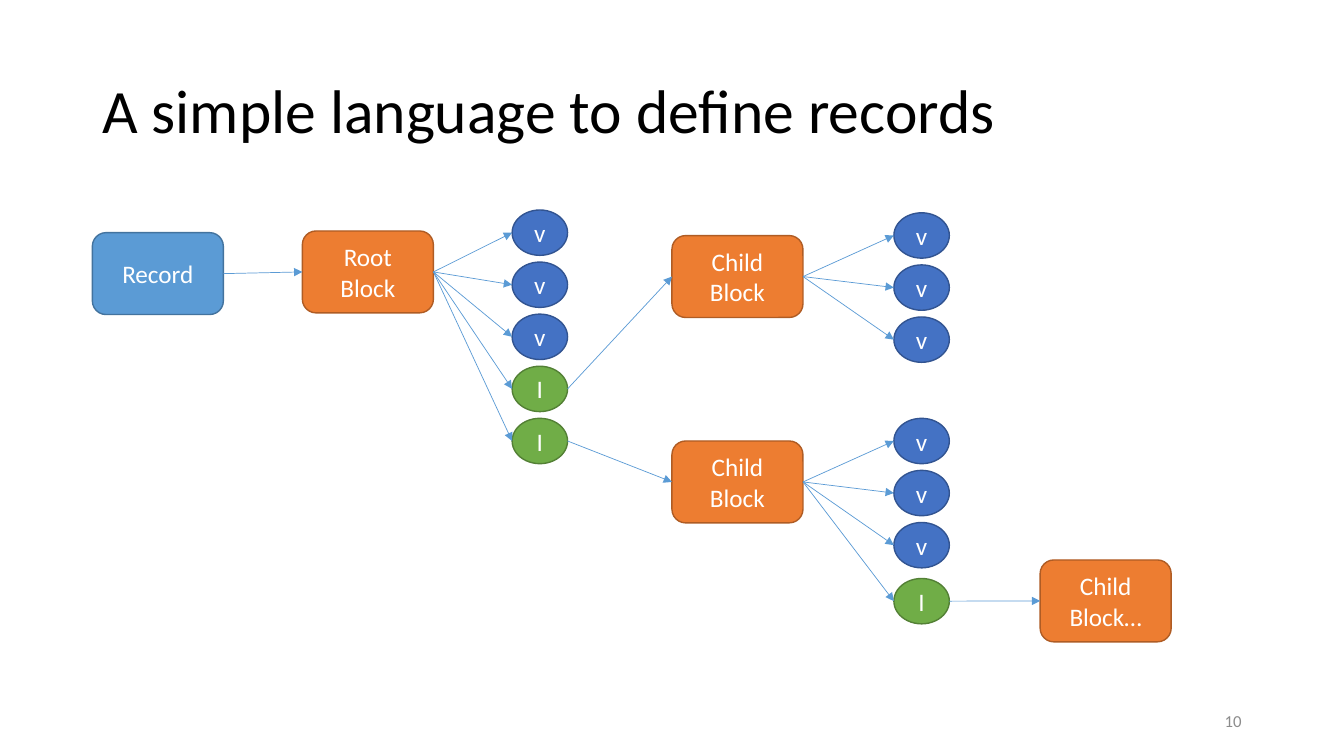
from dataclasses import dataclass

from pptx import Presentation
from pptx.dml.color import RGBColor
from pptx.enum.shapes import MSO_CONNECTOR, MSO_SHAPE
from pptx.enum.text import MSO_ANCHOR, PP_ALIGN
from pptx.oxml.ns import qn
from pptx.util import Pt
from lxml import etree

ROUNDED, ELLIPSE = MSO_SHAPE.ROUNDED_RECTANGLE, MSO_SHAPE.OVAL
STRAIGHT = MSO_CONNECTOR.STRAIGHT
LEFT, CENTER, RIGHT = PP_ALIGN.LEFT, PP_ALIGN.CENTER, PP_ALIGN.RIGHT
MIDDLE = MSO_ANCHOR.MIDDLE


@dataclass(frozen=True)
class Theme:
    font: str = "Calibri"
    title_size: float = 44
    node_size: float = 18
    number_size: float = 12
    title_color: str = "000000"
    number_color: str = "8C8C8C"
    node_text: str = "FFFFFF"
    arrow: str = "5B9BD5"
    # Fill and outline of each kind of node
    record: tuple = ("5B9BD5", "43739E")
    block: tuple = ("ED7D31", "AF5C24")
    value: tuple = ("4472C4", "325491")
    item: tuple = ("70AD47", "538035")
    outline_width: float = 1
    arrow_width: float = 0.5


class Diagram:
    BLOCK_WIDTH, BLOCK_HEIGHT = 93.6, 58.5
    LEAF_WIDTH, LEAF_HEIGHT = 39.6, 32.4
    LEAF_STEP = 37.2

    def __init__(self, slide, theme):
        self.slide = slide
        self.theme = theme

    def set_text(self, shape, text, size, color, align):
        frame = shape.text_frame
        frame.word_wrap = True
        frame.vertical_anchor = MIDDLE
        paragraph = frame.paragraphs[0]
        paragraph.text = text
        paragraph.alignment = align
        paragraph.font.name = self.theme.font
        paragraph.font.size = Pt(size)
        paragraph.font.color.rgb = RGBColor.from_string(color)
        return paragraph

    def label(self, text, left, top, width, height, size, color, align):
        box = self.slide.shapes.add_textbox(Pt(left), Pt(top), Pt(width), Pt(height))
        return self.set_text(box, text, size, color, align)

    def node(self, preset, text, left, top, width, height, colors):
        shape = self.slide.shapes.add_shape(
            preset, Pt(left), Pt(top), Pt(width), Pt(height))
        fill, outline = colors
        shape.shadow.inherit = False
        shape.fill.solid()
        shape.fill.fore_color.rgb = RGBColor.from_string(fill)
        shape.line.color.rgb = RGBColor.from_string(outline)
        shape.line.width = Pt(self.theme.outline_width)
        self.set_text(shape, text, self.theme.node_size, self.theme.node_text, CENTER)
        return shape

    def block(self, text, left, top, colors=None):
        return self.node(ROUNDED, text, left, top, self.BLOCK_WIDTH,
                         self.BLOCK_HEIGHT, colors or self.theme.block)

    def leaves(self, parent, letters, left, top, item_gap=0):
        """Stack one ellipse per letter and point the parent at each."""
        shapes = []
        for index, letter in enumerate(letters):
            is_item = letter == "I"
            colors = self.theme.item if is_item else self.theme.value
            leaf_top = top + index * self.LEAF_STEP + (item_gap if is_item else 0)
            leaf = self.node(ELLIPSE, letter, left, leaf_top,
                             self.LEAF_WIDTH, self.LEAF_HEIGHT, colors)
            self.arrow(parent, leaf)
            shapes.append(leaf)
        return shapes

    def arrow(self, source, target):
        """Run from the right middle of source to the left middle of target."""
        connector = self.slide.shapes.add_connector(
            STRAIGHT,
            source.left + source.width, source.top + source.height // 2,
            target.left, target.top + target.height // 2)
        connector.line.color.rgb = RGBColor.from_string(self.theme.arrow)
        connector.line.width = Pt(self.theme.arrow_width)
        properties = connector._element.spPr
        line = properties.find(qn("a:ln"))
        etree.SubElement(line, qn("a:tailEnd"), type="triangle")
        etree.SubElement(properties, qn("a:effectLst"))


presentation = Presentation()
presentation.slide_width = Pt(960)
presentation.slide_height = Pt(540)
theme = Theme()
diagram = Diagram(
    presentation.slides.add_slide(presentation.slide_layouts[6]), theme)

# Title and slide number
title = diagram.label("A simple language to define records", 66, 28.8, 828, 104.4,
                      theme.title_size, theme.title_color, LEFT)
title.line_spacing = 0.9
diagram.label("10", 678, 500.5, 216, 28.8,
              theme.number_size, theme.number_color, RIGHT)

# Columns of the tree
ROOT_LEAVES, CHILDREN, CHILD_LEAVES = 365.8, 480, 638.5

# Record and root block
record = diagram.block("Record", 66, 166.2, theme.record)
root = diagram.block("Root Block", 216, 165)
diagram.arrow(record, root)
*_, first_item, second_item = diagram.leaves(root, "vvvII", ROOT_LEAVES, 150)

# First child block
first_child = diagram.block("Child Block", CHILDREN, 168.3)
diagram.arrow(first_item, first_child)
diagram.leaves(first_child, "vvv", CHILD_LEAVES, 152)

# Second child block and the block nested in it
second_child = diagram.block("Child Block", CHILDREN, 315)
diagram.arrow(second_item, second_child)
*_, last_item = diagram.leaves(second_child, "vvvI", CHILD_LEAVES, 298.8, item_gap=2.8)
nested_child = diagram.block("Child Block…", 743, 400)
diagram.arrow(last_item, nested_child)

presentation.save("out.pptx")
